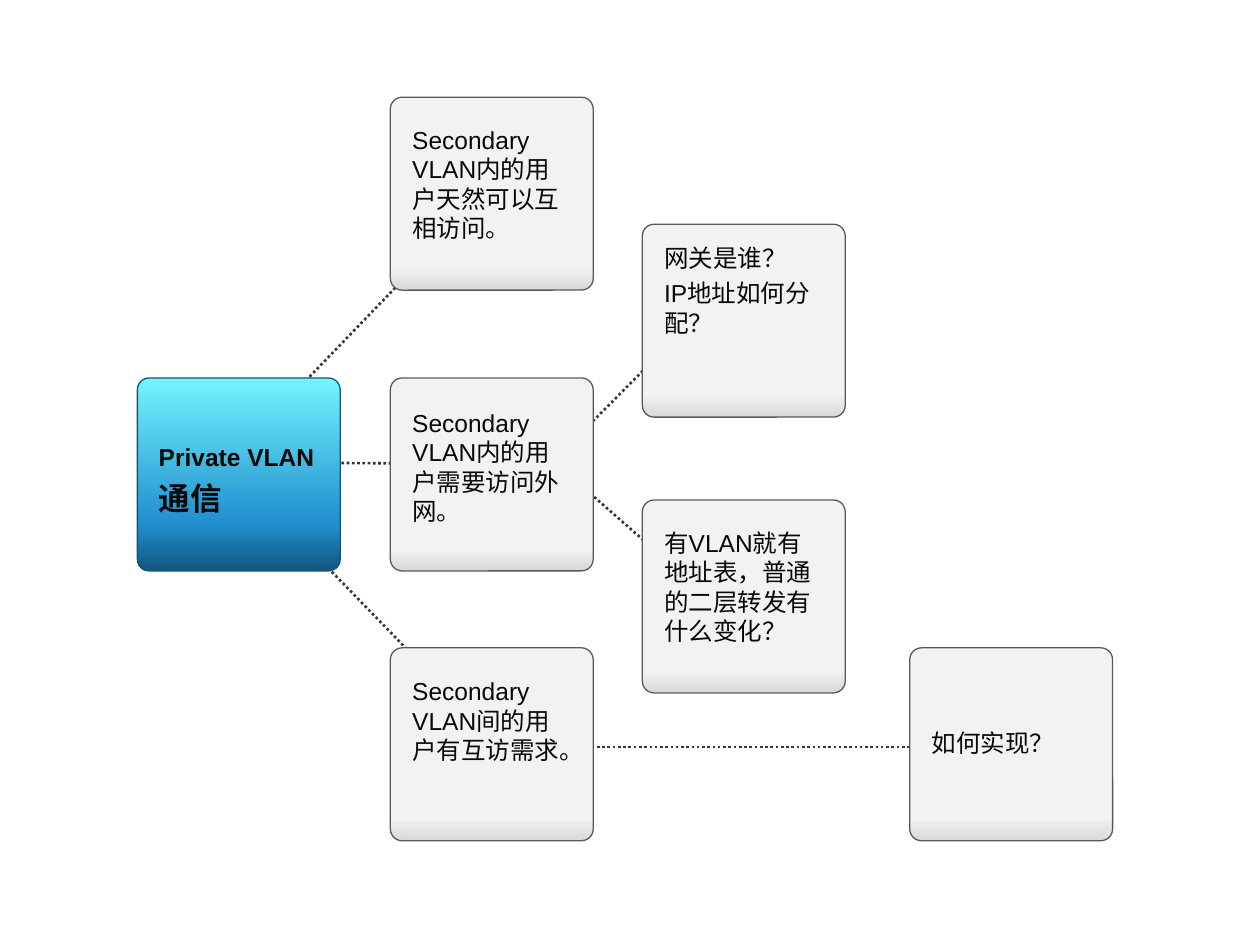
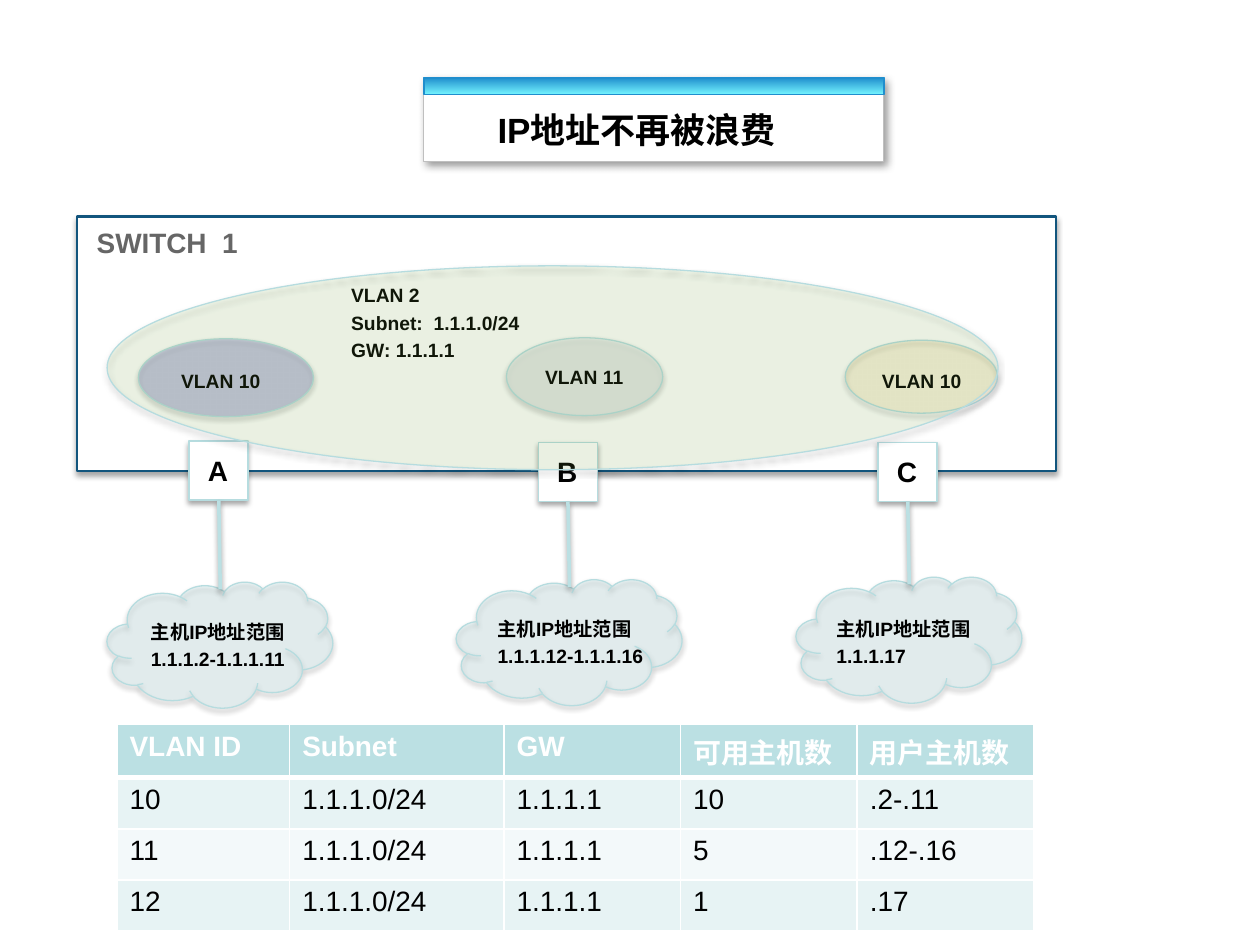
"""Build two slides on Private VLAN communication and address use."""
from lxml.etree import SubElement
from pptx import Presentation
from pptx.dml.color import RGBColor
from pptx.enum.dml import MSO_LINE
from pptx.enum.shapes import MSO_CONNECTOR, MSO_SHAPE
from pptx.enum.text import MSO_AUTO_SIZE
from pptx.oxml.ns import qn
from pptx.util import Cm, Pt

RECTANGLE = MSO_SHAPE.RECTANGLE
ROUNDED = MSO_SHAPE.ROUNDED_RECTANGLE
OVAL = MSO_SHAPE.OVAL
CLOUD = MSO_SHAPE.CLOUD
STRAIGHT = MSO_CONNECTOR.STRAIGHT
DOTTED = MSO_LINE.ROUND_DOT
FIT_SHAPE = MSO_AUTO_SIZE.SHAPE_TO_FIT_TEXT

FONT = "Arial"
BLACK, INK, WHITE = "000000", "080808", "FFFFFF"
NAVY, BLUE, CYAN = "12557D", "208ECD", "74F4FF"
AQUA, AQUA_LINE = "BBE0E3", "B6DCDF"
ROW_FILLS = ("E7F3F4", "F3F9FA")
GREY_STOPS = [(0, "D9D9D9"), (12, "F2F2F2")]
BLUE_STOPS = [(0, CYAN), (76, BLUE), (100, NAVY)]
BAND_STOPS = [(0, CYAN), (100, BLUE)]
UPWARD, DOWNWARD = 90, 270
SOFT_SHADOW = (35, 3.1, 1.8, 90)
LINE_SHADOW = (38, 3.1, 1.6, 90)
CARD_SHADOW = (40, 5, 3, 45)


def color(value):
    return RGBColor.from_string(value)


class Deck:
    """Hold the shared style and the slide being drawn."""

    def __init__(self):
        self.presentation = Presentation()
        self.presentation.slide_width = Cm(25.4)
        self.presentation.slide_height = Cm(19.05)
        self.slide = None

    def add_slide(self):
        self.slide = self.presentation.slides.add_slide(self.presentation.slide_layouts[6])

    def set_shadow(self, shape, shadow):
        effects = SubElement(shape._element.spPr, qn("a:effectLst"))
        if shadow:
            opacity, blur, distance, direction = shadow
            outer = SubElement(effects, qn("a:outerShdw"), blurRad=str(Pt(blur)),
                               dist=str(Pt(distance)), dir=str(direction * 60000),
                               rotWithShape="0")
            tint = SubElement(outer, qn("a:srgbClr"), val=BLACK)
            SubElement(tint, qn("a:alpha"), val=str(opacity * 1000))

    def set_gradient(self, shape, stops, angle):
        shape.fill.gradient()
        shape.fill.gradient_angle = angle
        stop_list = shape._element.spPr.find(qn("a:gradFill")).find(qn("a:gsLst"))
        for stop in list(stop_list):
            stop_list.remove(stop)
        for position, value in stops:
            stop = SubElement(stop_list, qn("a:gs"), pos=str(position * 1000))
            SubElement(stop, qn("a:srgbClr"), val=value)

    def shape(self, kind, box, fill, line, width=0.75, opacity=100, angle=UPWARD, shadow=None):
        shape = self.slide.shapes.add_shape(kind, *map(Cm, box))
        if isinstance(fill, list):
            self.set_gradient(shape, fill, angle)
        else:
            shape.fill.solid()
            shape.fill.fore_color.rgb = color(fill)
            if opacity < 100:
                tint = shape._element.spPr.find(qn("a:solidFill"))[0]
                SubElement(tint, qn("a:alpha"), val=str(opacity * 1000))
        shape.line.color.rgb = color(line)
        shape.line.width = Pt(width)
        self.set_shadow(shape, shadow)
        return shape

    def card(self, left, top, fill=GREY_STOPS, line="595959", angle=UPWARD):
        shape = self.shape(ROUNDED, (left, top, 4.09, 3.89), fill, line, angle=angle)
        shape.adjustments[0] = 0.061

    def line(self, start, end, value, width, dash=None, shadow=None):
        connector = self.slide.shapes.add_connector(STRAIGHT, *map(Cm, start + end))
        connector.line.color.rgb = color(value)
        connector.line.width = Pt(width)
        if dash:
            connector.line.dash_style = dash
        self.set_shadow(connector, shadow)

    def style(self, paragraph, size, value, bold):
        for run in paragraph.runs:
            run.font.name = FONT
            run.font.size = Pt(size)
            run.font.bold = bold
            run.font.color.rgb = color(value)

    def text(self, box, text, *sizes, value=BLACK, bold=True):
        frame = self.slide.shapes.add_textbox(*map(Cm, box)).text_frame
        frame.word_wrap = True
        frame.auto_size = FIT_SHAPE
        frame.text = text
        for index, paragraph in enumerate(frame.paragraphs):
            size = sizes[min(index, len(sizes) - 1)]
            paragraph.space_before = Pt(round(size * 0.22, 1))
            self.style(paragraph, size, value, bold)

    def cell(self, cell, text, fill, value, bold, top, bottom):
        cell.text = text
        self.style(cell.text_frame.paragraphs[0], 16, value, bold)
        properties = cell._tc.get_or_add_tcPr()
        for side, width in (("lnL", 1), ("lnR", 1), ("lnT", top), ("lnB", bottom)):
            border = SubElement(properties, qn(f"a:{side}"), w=str(Pt(width)))
            SubElement(SubElement(border, qn("a:solidFill")), qn("a:srgbClr"), val=WHITE)
        cell.fill.solid()
        cell.fill.fore_color.rgb = color(fill)

    def table(self, left, top, widths, row_height, rows):
        size = sum(widths), row_height * len(rows)
        table = self.slide.shapes.add_table(
            len(rows), len(widths), *map(Cm, (left, top, *size))).table
        for column, width in zip(table.columns, widths):
            column.width = Cm(width)
        for index, row in enumerate(rows):
            header = index == 0
            fill = AQUA if header else ROW_FILLS[(index - 1) % 2]
            for column, text in enumerate(row):
                self.cell(table.cell(index, column), text, fill, WHITE if header else BLACK,
                          header, 3 if index == 1 else 1, 3 if header else 1)


def build_communication(deck):
    deck.add_slide()
    links = [
        ((18.34, 15.06), (11.96, 15.06)),
        ((4.55, 9.32), (9.63, 9.35)),
        ((4.55, 9.35), (8.69, 5.05)),
        ((4.55, 9.32), (8.69, 13.59)),
        ((11.13, 9.32), (14.58, 5.84)),
        ((11.18, 9.32), (15.04, 12.7)),
    ]
    for start, end in links:
        deck.line(start, end, "353637", 1.5, DOTTED)
    deck.card(2.77, 7.62, BLUE_STOPS, NAVY, DOWNWARD)
    deck.text((2.95, 8.79, 3.91, 1.78), "Private VLAN\n通信", 14, 18, value=INK)
    topics = [
        (7.87, 1.96, 2.39, 2.64, "Secondary VLAN内的用户天然可以互相访问。"),
        (7.87, 7.62, 8.1, 2.64, "Secondary VLAN内的用户需要访问外网。"),
        (7.87, 13.06, 13.51, 2.06, "Secondary VLAN间的用户有互访需求。"),
        (12.95, 4.52, 4.78, 2.16, "网关是谁？\nIP地址如何分配？"),
        (12.95, 10.08, 10.52, 2.64, "有VLAN就有地址表，普通的二层转发有什么变化？"),
        (18.34, 13.06, 14.55, 0.86, "如何实现？"),
    ]
    for left, top, text_top, height, text in topics:
        deck.card(left, top)
        deck.text((left + 0.19, text_top, 3.61, height), text, 14, value=INK, bold=False)


def build_addresses(deck):
    deck.add_slide()
    rows = [
        ("VLAN ID", "Subnet", "GW", "可用主机数", "用户主机数"),
        ("10", "1.1.1.0/24", "1.1.1.1", "10", ".2-.11"),
        ("11", "1.1.1.0/24", "1.1.1.1", "5", ".12-.16"),
        ("12", "1.1.1.0/24", "1.1.1.1", "1", ".17"),
    ]
    deck.table(2.36, 14.61, (3.48, 4.32, 3.56, 3.56, 3.56), 1.03, rows)
    deck.shape(RECTANGLE, (8.53, 1.57, 9.27, 1.68), WHITE, "BFBFBF", 0.25, shadow=CARD_SHADOW)
    deck.shape(RECTANGLE, (8.55, 1.57, 9.27, 0.34), BAND_STOPS, BLUE)
    deck.text((9.78, 2.06, 7.26, 1.12), "IP地址不再被浪费", 20)

    deck.shape(RECTANGLE, (1.55, 4.37, 19.74, 5.13), WHITE, NAVY, 1.5, shadow=SOFT_SHADOW)
    deck.text((1.7, 4.42, 4.11, 0.94), "SWITCH  1", 16, value="666666")
    ports = [
        ("A", 3.81, 8.89, 11.73, 2.79, 12.37, "1.1.1.2-1.1.1.11"),
        ("B", 10.85, 8.92, 11.68, 9.78, 12.32, "1.1.1.12-1.1.1.16"),
        ("C", 17.7, 8.92, 11.63, 16.61, 12.32, "1.1.1.17"),
    ]
    for name, left, top, cloud_top, text_left, text_top, hosts in ports:
        deck.shape(RECTANGLE, (left, top, 1.19, 1.19), WHITE, AQUA_LINE, shadow=SOFT_SHADOW)
        deck.text((left + 0.13, top + 0.12, 1.22, 0.94), name, 16)
        deck.shape(CLOUD, (left - 1.65, cloud_top, 4.55, 2.54), "B5E5E9", AQUA_LINE,
                   opacity=21, shadow=SOFT_SHADOW)
        deck.line((left + 0.6, top + 1.2), (left + 0.63, cloud_top + 0.15), AQUA, 2,
                  shadow=LINE_SHADOW)
        deck.text((text_left, text_top, 3.99, 1.3), f"主机IP地址范围\n{hosts}", 11)

    vlans = [
        ("VLAN 10", (2.79, 6.83, 3.53, 1.57), "6B6BCF", 28, 3.4, 7.32),
        ("VLAN 11", (10.21, 6.81, 3.15, 1.57), "E9F4F5", 34, 10.74, 7.24),
        ("VLAN 10", (17.04, 6.86, 3.07, 1.47), "FFC000", 10, 17.53, 7.32),
    ]
    for name, box, fill, opacity, text_left, text_top in vlans:
        deck.shape(OVAL, box, fill, AQUA_LINE, opacity=opacity, shadow=SOFT_SHADOW)
        deck.text((text_left, text_top, 2.4, 0.74), name, 11)
    deck.text((6.83, 5.59, 4.42, 1.85), "VLAN 2\nSubnet:  1.1.1.0/24\nGW: 1.1.1.1", 11)
    deck.shape(OVAL, (2.16, 5.36, 17.96, 4.11), "92D050", AQUA_LINE, opacity=11,
               shadow=SOFT_SHADOW)


deck = Deck()
build_communication(deck)
build_addresses(deck)
deck.presentation.save("out.pptx")
